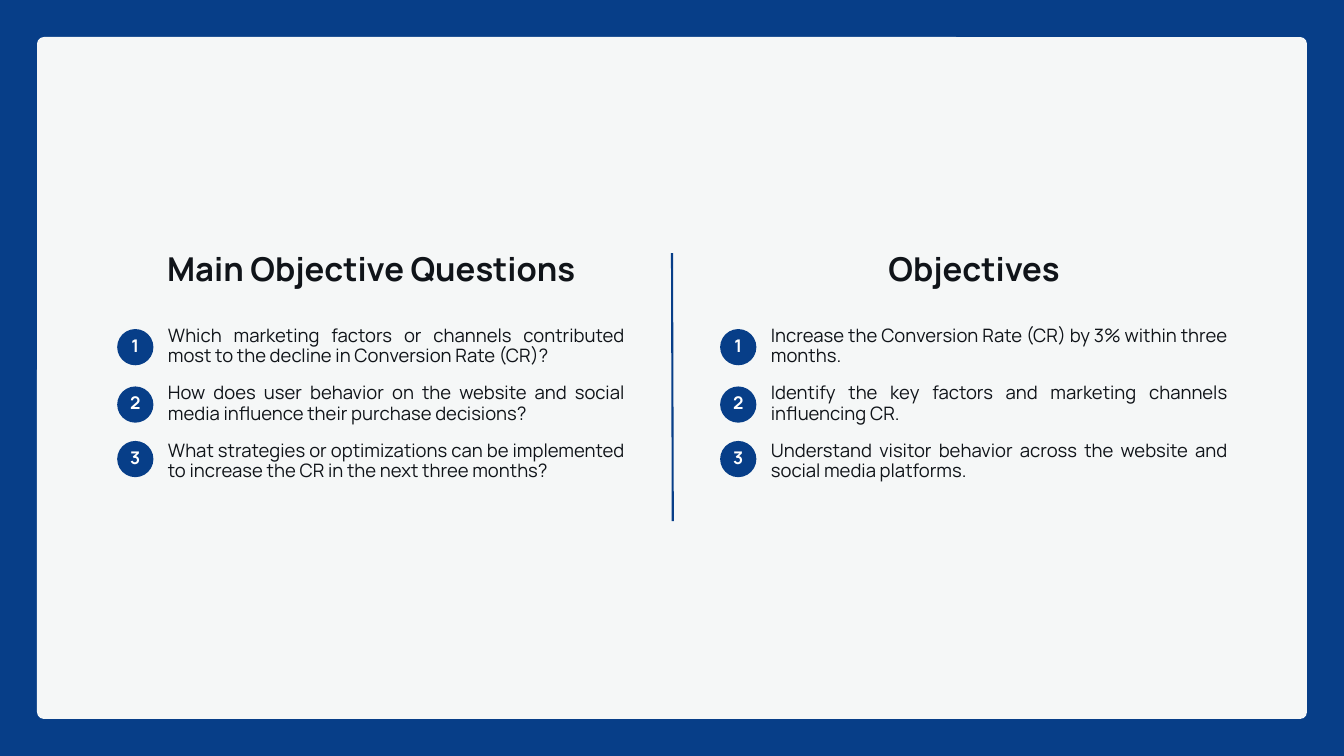
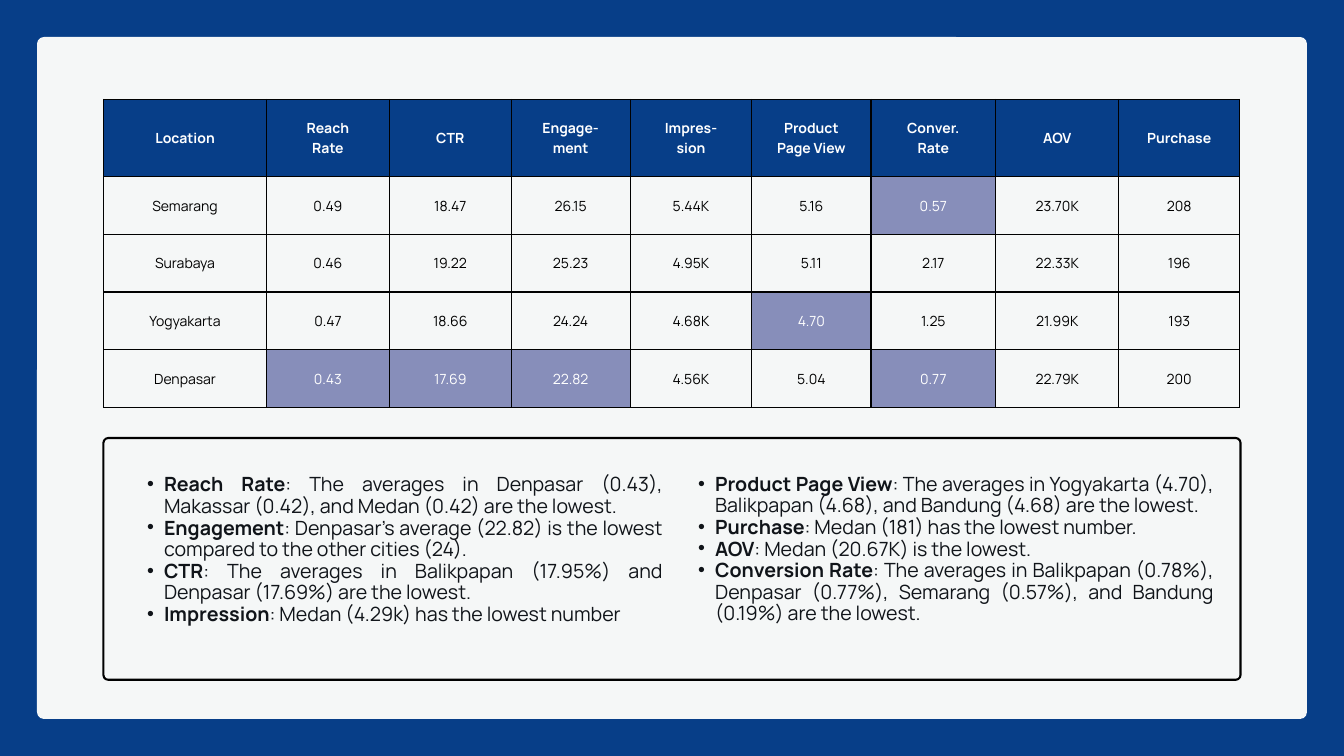
from lxml import etree
from pptx import Presentation
from pptx import util as u
from pptx.dml.color import RGBColor
from pptx.enum import shapes, text
from pptx.oxml.ns import qn

COLOURS = {
    "blue": "073E88",
    "paper": "F5F7F7",
    "ink": "101419",
    "black": "000000",
    "white": "FFFFFF",
    "lavender": "878EBA",
}
RGB = {name: RGBColor.from_string(value) for name, value in COLOURS.items()}
FONT = "Manrope"
CENTER, JUSTIFY = text.PP_ALIGN.CENTER, text.PP_ALIGN.JUSTIFY


def add_block(page, kind, left, top, width, height, fill=None, line=None):
    """Add a flat preset shape, or a text box when kind is None, with no insets."""
    area = u.Cm(left), u.Cm(top), u.Cm(width), u.Cm(height)
    if kind is None:
        box = page.shapes.add_textbox(*area)
        box.text_frame.auto_size = text.MSO_AUTO_SIZE.SHAPE_TO_FIT_TEXT
    else:
        box = page.shapes.add_shape(kind, *area)
        box.shadow.inherit = False
        box.fill.solid()
        box.fill.fore_color.rgb = RGB[fill]
        if line:
            box.line.color.rgb = RGB[line]
            box.line.width = u.Pt(2.25)
        else:
            box.line.fill.background()
    frame = box.text_frame
    frame.word_wrap = True
    frame.margin_left = frame.margin_right = 0
    frame.margin_top = frame.margin_bottom = 0
    return box


def style_text(frame, size, leading, colour="ink", align=CENTER, bold=False):
    for para in frame.paragraphs:
        para.alignment = align
        para.line_spacing = u.Pt(leading)
        for span in para.runs:
            span.font.name = FONT
            span.font.size = u.Pt(size)
            span.font.bold = bold
            span.font.color.rgb = RGB[colour]


deck = Presentation()
deck.slide_width, deck.slide_height = u.Cm(50.8), u.Cm(28.58)
pages = []
for _ in range(2):
    page = deck.slides.add_slide(deck.slide_layouts[6])
    page.background.fill.solid()
    page.background.fill.fore_color.rgb = RGB["blue"]
    panel = add_block(page, shapes.MSO_SHAPE.ROUNDED_RECTANGLE, 1.4, 1.4, 48, 25.78, "paper")
    panel.adjustments[0] = 0.01
    pages.append(page)
goals_page, cities_page = pages

# Questions and objectives
divider = goals_page.shapes.add_connector(
    shapes.MSO_CONNECTOR.STRAIGHT, u.Cm(25.4), u.Cm(9.57), u.Cm(25.43), u.Cm(19.7))
divider.line.color.rgb = RGB["blue"]
divider.line.width = u.Pt(2.25)
etree.SubElement(divider._element.spPr, qn("a:effectLst"))

goal_columns = [
    ("Main Objective Questions", [
        "Which marketing factors or channels contributed most to the decline in Conversion Rate (CR)?",
        "How does user behavior on the website and social media influence their purchase decisions?",
        "What strategies or optimizations can be implemented to increase the CR in the next three months?",
    ]),
    ("Objectives", [
        "Increase the Conversion Rate (CR) by 3% within three months.",
        "Identify the key factors and marketing channels influencing CR.",
        "Understand visitor behavior across the website and social media platforms.",
    ]),
]
badge_tops = [12.44, 14.61, 16.67]
for column, (heading, goals) in enumerate(goal_columns):
    left = 4.43 + 22.79 * column
    title = add_block(goals_page, None, left, 9.65, 19.2, 1.4)
    title.text_frame.text = heading
    style_text(title.text_frame, 35.2, 35.2, bold=True)
    for row, (goal, badge_top) in enumerate(zip(goals, badge_tops)):
        badge = add_block(goals_page, shapes.MSO_SHAPE.OVAL, left, badge_top, 1.37, 1.37, "blue")
        badge.text_frame.text = str(row + 1)
        badge.text_frame.vertical_anchor = text.MSO_ANCHOR.MIDDLE
        style_text(badge.text_frame, 18.7, 18.7, "white", bold=True)
        box = add_block(goals_page, None, left + 1.92, 12.32 + 2.17 * row, 17.25, 1.57)
        box.text_frame.text = goal
        style_text(box.text_frame, 19.8, 21.8, align=JUSTIFY)

# City averages
notes_frame = add_block(cities_page, shapes.MSO_SHAPE.ROUNDED_RECTANGLE,
                        3.91, 16.56, 42.98, 9.14, "paper", "black")
notes_frame.adjustments[0] = 0.02

city_rows = [
    ["Location", "Reach\nRate", "CTR", "Engage-\nment", "Impres-\nsion",
     "Product\nPage View", "Conver.\nRate", "AOV", "Purchase"],
    ["Semarang", "0.49", "18.47", "26.15", "5.44K", "5.16", "0.57", "23.70K", "208"],
    ["Surabaya", "0.46", "19.22", "25.23", "4.95K", "5.11", "2.17", "22.33K", "196"],
    ["Yogyakarta", "0.47", "18.66", "24.24", "4.68K", "4.70", "1.25", "21.99K", "193"],
    ["Denpasar", "0.43", "17.69", "22.82", "4.56K", "5.04", "0.77", "22.79K", "200"],
]
low_cells = {(1, 6), (3, 5), (4, 1), (4, 2), (4, 3), (4, 6)}
column_widths = [6.15, 4.65, 4.6, 4.5, 4.6, 4.5, 4.72, 4.65, 4.57]
row_heights = [2.92] + [2.18] * 4
table = cities_page.shapes.add_table(
    len(city_rows), len(column_widths), u.Cm(3.92), u.Cm(3.76),
    u.Cm(sum(column_widths)), u.Cm(sum(row_heights))).table
table.first_row = table.horz_banding = False
for column, width in zip(table.columns, column_widths):
    column.width = u.Cm(width)
for row, height in zip(table.rows, row_heights):
    row.height = u.Cm(height)

for r, values in enumerate(city_rows):
    for c, value in enumerate(values):
        cell = table.cell(r, c)
        cell.text = value
        cell.vertical_anchor = text.MSO_ANCHOR.MIDDLE
        cell.margin_left = cell.margin_right = u.Cm(0.53)
        cell.margin_top = cell.margin_bottom = u.Cm(0.53)
        fill = "blue" if r == 0 else "lavender" if (r, c) in low_cells else None
        if fill:
            cell.fill.solid()
            cell.fill.fore_color.rgb = RGB[fill]
        else:
            cell.fill.background()
        style_text(cell.text_frame, 15, 21, "white" if fill else "black", bold=r == 0)
        properties = cell._tc.get_or_add_tcPr()
        for position, side in enumerate(("lnL", "lnR", "lnT", "lnB")):
            border = etree.Element(qn(f"a:{side}"), w=str(u.Pt(1.5)))
            paint = etree.SubElement(border, qn("a:solidFill"))
            etree.SubElement(paint, qn("a:srgbClr"), val=COLOURS["black"])
            properties.insert(position, border)

# Findings below the table
findings = [
    (4.93, 17.93, 5.64, [
        ("Reach Rate", ": The averages in Denpasar (0.43), Makassar (0.42), and Medan (0.42) are the lowest."),
        ("Engagement", ": Denpasar’s average (22.82) is the lowest compared to the other cities (24)."),
        ("CTR", ": The averages in Balikpapan (17.95%) and Denpasar (17.69%) are the lowest."),
        ("Impression", ": Medan (4.29k) has the lowest number"),
    ]),
    (25.76, 17.91, 6.43, [
        ("Product Page View", ": The averages in Yogyakarta (4.70), Balikpapan (4.68), "
                              "and Bandung (4.68) are the lowest."),
        ("Purchase", ": Medan (181) has the lowest number."),
        ("AOV", ": Medan (20.67K) is the lowest."),
        ("Conversion Rate", ": The averages in Balikpapan (0.78%), Denpasar (0.77%), "
                            "Semarang (0.57%), and Bandung (0.19%) are the lowest."),
    ]),
]
for left, top, height, points in findings:
    frame = add_block(cities_page, None, left, top, 20.12, height).text_frame
    frame.text = "\n".join(metric for metric, _ in points)
    for para, (_, finding) in zip(frame.paragraphs, points):
        para.add_run().text = finding
        para.level = 1
        properties = para._p.get_or_add_pPr()
        properties.set("marL", str(u.Cm(1.27)))
        properties.set("indent", str(-u.Cm(0.64)))
        etree.SubElement(properties, qn("a:buFont"), typeface="Arial")
        etree.SubElement(properties, qn("a:buChar"), char="•")
    style_text(frame, 21, 23.1, align=JUSTIFY)
    for para in frame.paragraphs:
        para.runs[0].font.bold = True

deck.save("out.pptx")
